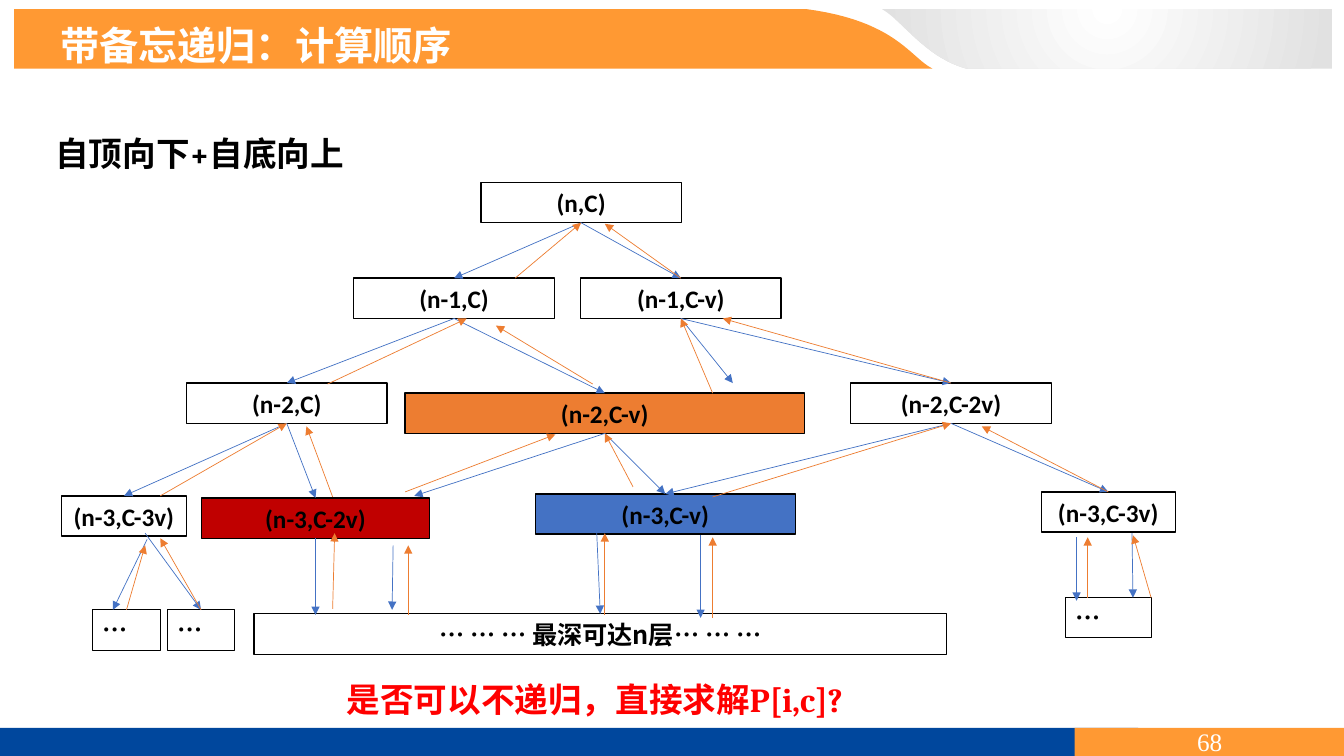
import pptx
import pptx.util
import pptx.dml.color
import pptx.enum.dml
import pptx.enum.shapes
import pptx.enum.text
import pptx.oxml.ns
from lxml import etree

qn = pptx.oxml.ns.qn
RGB = pptx.dml.color.RGBColor.from_string
RECT = pptx.enum.shapes.MSO_SHAPE.RECTANGLE
LEFT, MID = pptx.enum.text.PP_ALIGN.LEFT, pptx.enum.text.PP_ALIGN.CENTER
THEME = {
    "band": "FF9933", "navy": "00479D", "pale": "E1E1E1", "white": "FFFFFF",
    "ink": "000000", "ask": "FF0000", "down": "4472C4", "up": "ED7D31", "deep": "C00000",
    "title": 28, "head": 24, "node": 18, "arrow": 0.5,
    "han": "Noto Sans CJK SC", "serif": "Cambria", "sans": "Calibri", "page": "Times New Roman",
}

# Grid of square cells, ten to the inch
CELL = pptx.util.Inches(0.1)
COLS, ROWS = 133.33, 75


def grid(*counts):
    return [pptx.util.Emu(round(n * CELL)) for n in counts]


def write(shape, text, size, face, tint="ink", align=LEFT, space=None, grow=True):
    frame = shape.text_frame
    frame.word_wrap = True
    frame.vertical_anchor = pptx.enum.text.MSO_ANCHOR.TOP if grow else pptx.enum.text.MSO_ANCHOR.MIDDLE
    if grow:
        frame.auto_size = pptx.enum.text.MSO_AUTO_SIZE.SHAPE_TO_FIT_TEXT
    para = frame.paragraphs[0]
    para.text = text
    para.alignment = align
    if space:
        para.line_spacing = space
    font = para.font
    font.size = pptx.util.Pt(THEME[size])
    font.bold = grow
    font.color.rgb = RGB(THEME[tint])
    font.name = THEME[face]
    base = para._p.pPr.find(qn("a:defRPr"))
    etree.SubElement(base, qn("a:ea"), typeface=THEME["han"])


deck = pptx.Presentation()
deck.slide_width, deck.slide_height = grid(COLS, ROWS)
slide = deck.slides.add_slide(deck.slide_layouts[6])
shapes = slide.shapes

# Header bands: a Bezier edge closed by straight corners
bands = [
    ([(80, 0.9), (88.9, 2.1), (90.3, 5.7), (92.5, 6.8)], [(1.4, 6.8), (1.4, 0.9)]),
    ([(95.9, 6.8), (91.8, 5.7), (89.6, 2.1), (87.5, 0.9)], [(132.2, 0.9), (132.2, 6.8)]),
]
heads = []
for curve, corners in bands:
    edge = []
    for step in range(25):
        t = step / 24
        mix = [(1 - t) ** 3, 3 * t * (1 - t) ** 2, 3 * t * t * (1 - t), t ** 3]
        edge.append([sum(m * p[axis] for m, p in zip(mix, curve)) for axis in (0, 1)])
    points = [grid(*p) for p in edge + corners]
    form = shapes.build_freeform(*points[0])
    form.add_line_segments(points[1:], close=True)
    head = form.convert_to_shape()
    head.shadow.inherit = False
    head.line.fill.background()
    heads.append(head)
heads[0].fill.solid()
heads[0].fill.fore_color.rgb = RGB(THEME["band"])

# Round gradient on the grey band
heads[1].fill.gradient()
for stop, tint, place in zip(heads[1].fill.gradient_stops, ("white", "pale"), (0, 1)):
    stop.color.rgb = RGB(THEME[tint])
    stop.position = place
fade = heads[1]._element.spPr.find(qn("a:gradFill"))
fade.remove(fade.find(qn("a:lin")))
glow = etree.SubElement(fade, qn("a:path"), {"path": "circle"})
etree.SubElement(glow, qn("a:fillToRect"), l="50000", t="-80000", r="50000", b="180000")

# Footer bars with the page number
for left, wide, tint in ((0, 112.9, "navy"), (106.6, 26.8, "band")):
    bar = shapes.add_shape(RECT, *grid(left, 72.2, wide, 2.8))
    bar.shadow.inherit = False
    bar.fill.solid()
    bar.fill.fore_color.rgb = RGB(THEME[tint])
    bar.line.fill.background()
write(bar, "68", "node", "page", "white", MID, grow=False)

# Title, heading and closing question
for area, text, size, face, tint, space in (
    ((5, 1.6, 68.4, 5.7), "带备忘递归：计算顺序", "title", "han", "white", None),
    ((4.5, 10.7, 58.5, 6.5), "自顶向下+自底向上", "head", "serif", "ink", 1.5),
    ((33.4, 64.9, 75.1, 6.5), "是否可以不递归，直接求解P[i,c]?", "head", "serif", "ask", 1.5),
):
    write(shapes.add_textbox(*grid(*area)), text, size, face, tint, space=space)

# Tree nodes: key, left, top, width, text, fill
nodes = [
    ("root", 47.7, 18.1, 19.9, "(n,C)", None),
    ("a1", 35.1, 27.6, 19.9, "(n-1,C)", "white"),
    ("a2", 57.6, 27.6, 19.9, "(n-1,C-v)", None),
    ("b1", 18.5, 38, 19.9, "(n-2,C)", None),
    ("b2", 40.2, 39, 39.6, "(n-2,C-v)", "up"),
    ("b3", 84.4, 38, 19.9, "(n-2,C-2v)", None),
    ("c1", 6.1, 49.2, 12.4, "(n-3,C-3v)", None),
    ("c2", 20, 49.4, 22.6, "(n-3,C-2v)", "deep"),
    ("c3", 53.1, 49, 25.8, "(n-3,C-v)", "down"),
    ("c4", 103.3, 48.8, 13.3, "(n-3,C-3v)", None),
    ("d1", 9.2, 60.5, 6.7, "…", None),
    ("d2", 16.6, 60.5, 6.7, "…", None),
    ("d3", 25.2, 60.9, 68.7, "… … … 最深可达n层… … …", None),
    ("d4", 105.7, 59.3, 8.5, "…", None),
]
boxes = {}
for key, left, top, wide, text, tint in nodes:
    box = boxes[key] = shapes.add_shape(RECT, *grid(left, top, wide, 4))
    leaf = key[0] == "d"
    box.shadow.inherit = False
    if tint:
        box.fill.solid()
        box.fill.fore_color.rgb = RGB(THEME[tint])
    else:
        box.fill.background()
    box.line.color.rgb = RGB(THEME["ink"])
    box.line.width = pptx.util.Pt(0.75 if leaf else 1)
    write(box, text, "node", "han" if leaf else "sans", align=LEFT if text == "…" else MID)

# Arrows: each end is a node with its side, or a grid point
links = {
    "down": [
        (("root", 2), ("a1", 0)), (("root", 2), ("a2", 0)),
        (("a1", 2), ("b1", 0)), (("a1", 2), ("b2", 0)),
        (("a2", 2), (72.7, 38)), (("a2", 2), ("b3", 0)),
        (("b1", 2), ("c1", 0)), (("b1", 2), ("c2", 0)),
        (("b2", 2), (41.1, 49.2)), (("b2", 2), ("c3", 0)),
        (("b3", 2), ("c3", 0)), (("b3", 2), ("c4", 0)),
        ((14.6, 53.5), (11.2, 60.5)), ((14.4, 52.9), ("d2", 0)),
        (("c2", 2), (31.3, 61)), ((39, 54.1), (38.9, 60.5)),
        ((59.2, 52.8), ("d3", 0)), ((69.5, 53.1), (69.5, 61.3)),
        ((106.8, 53.3), (106.8, 59.6)), ((112.3, 52.9), (112.4, 59.3)),
    ],
    "up": [
        ((51.1, 27.6), ("root", 2)), (("a2", 0), (60, 22.2)),
        ((32.5, 38.1), (46.3, 31.6)), ((58.8, 38.1), (49.2, 32.3)),
        ((70.7, 39), ("a2", 2)), (("b3", 0), (71.7, 31.6)),
        ((15.9, 49.2), ("b1", 2)), ((33, 49.3), (30.4, 42.3)),
        ((40.2, 48.8), (55.1, 43.1)), ((62.8, 48.3), ("b2", 2)),
        ((70.7, 49.3), ("b3", 2)), (("c4", 0), (97.4, 42.3)),
        (("d1", 0), (14.4, 54.1)), (("d2", 0), (15.9, 53.4)),
        ((33, 60.4), (33.2, 52.9)), ((40.5, 61), (40.5, 54.1)),
        ((60, 61), (60, 52.9)), ((70.7, 61.3), (70.7, 53.3)),
        ((107.9, 59.3), (107.9, 53.3)), ((114.2, 59.3), (112.4, 53.1)),
    ],
}
for tint, pairs in links.items():
    for tail, tip in pairs:
        spots = [grid(0, 0) if end[0] in boxes else grid(*end) for end in (tail, tip)]
        arrow = shapes.add_connector(pptx.enum.shapes.MSO_CONNECTOR.STRAIGHT, *spots[0], *spots[1])
        for end, join in ((tail, arrow.begin_connect), (tip, arrow.end_connect)):
            if end[0] in boxes:
                join(boxes[end[0]], end[1])
        arrow.line.color.rgb = RGB(THEME[tint])
        arrow.line.width = pptx.util.Pt(THEME["arrow"])
        etree.SubElement(arrow.line._get_or_add_ln(), qn("a:tailEnd"), type="triangle")
        etree.SubElement(arrow._element.spPr, qn("a:effectLst"))

deck.save("out.pptx")
